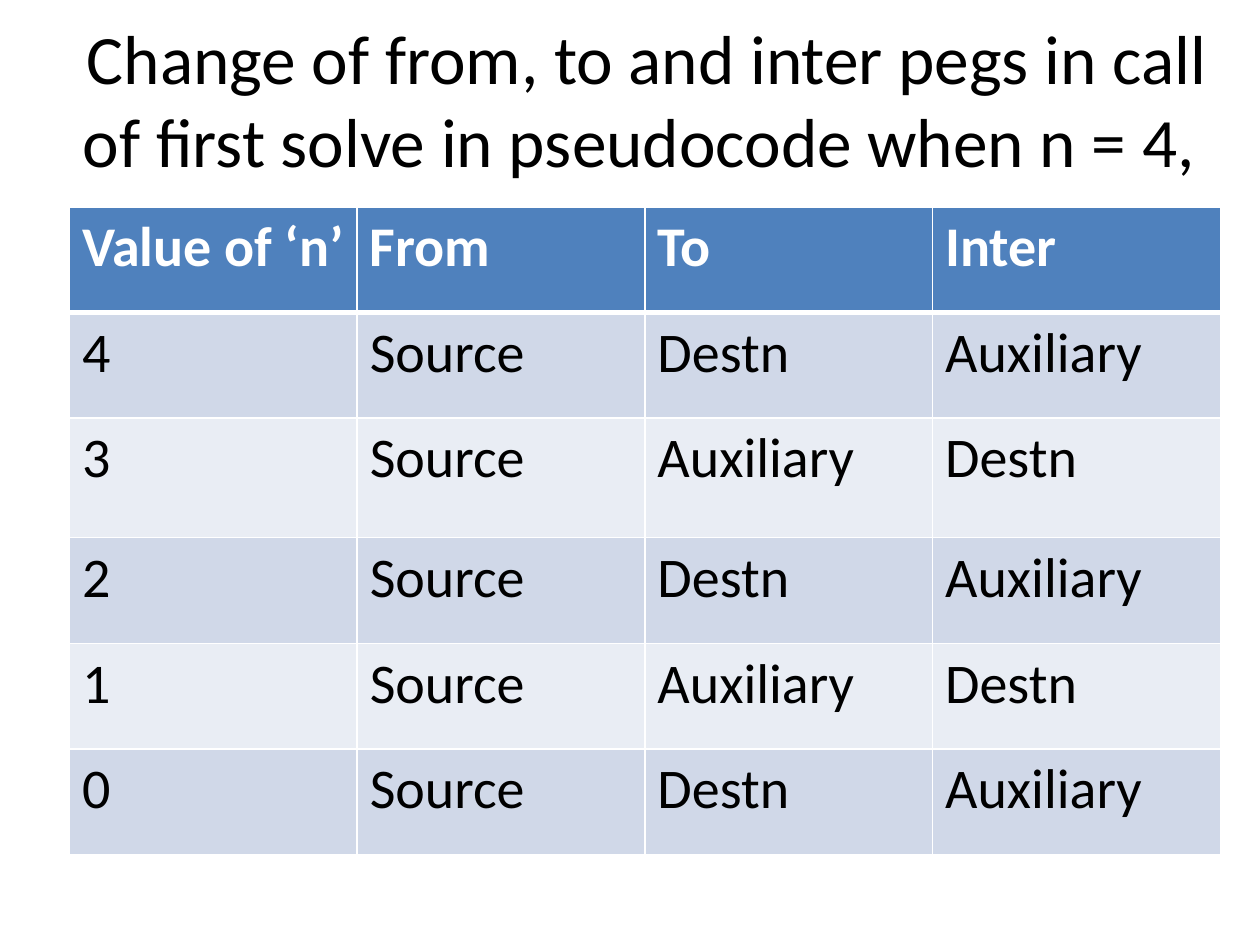
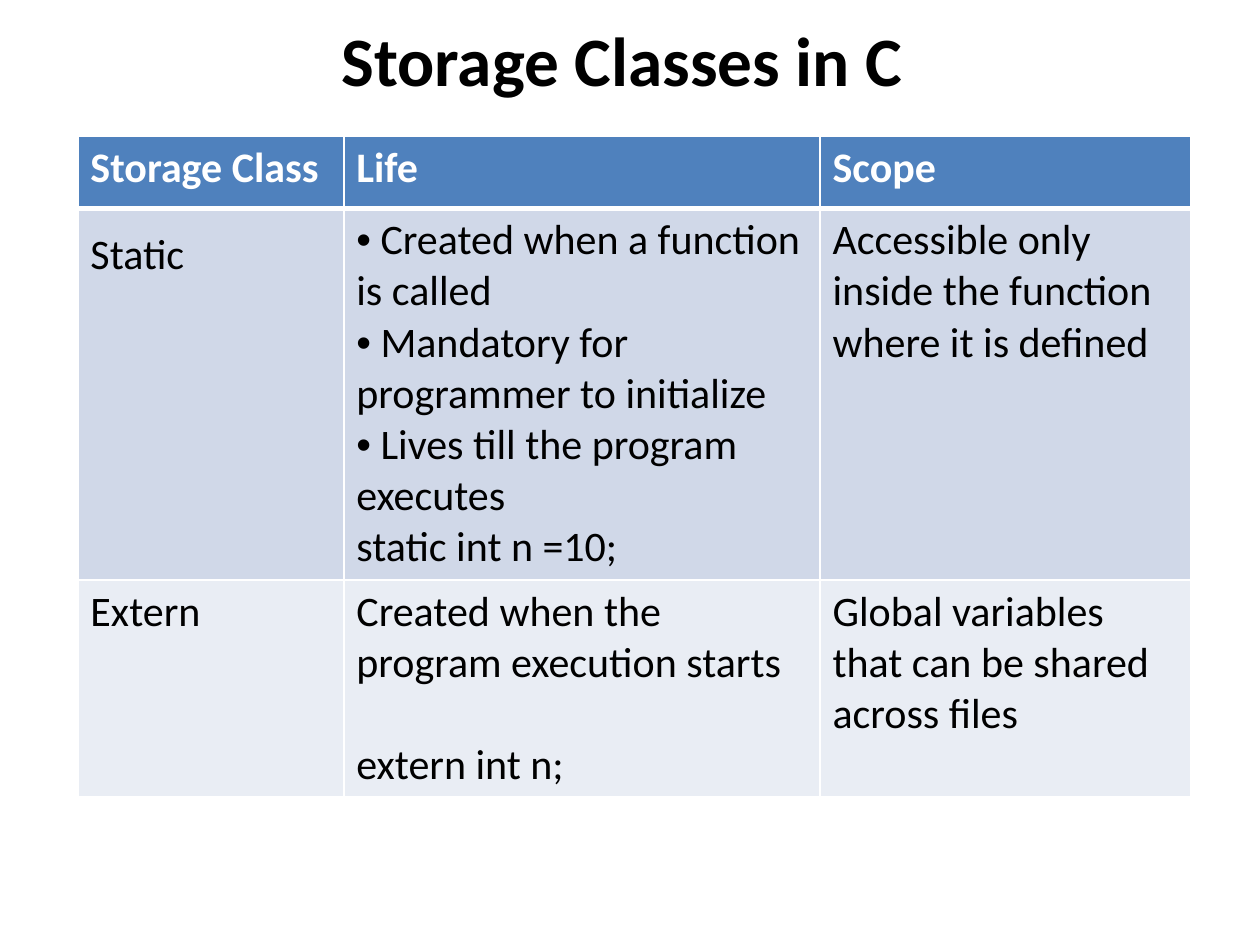
from lxml import etree
from pptx import Presentation
from pptx.dml.color import RGBColor
from pptx.enum.text import MSO_ANCHOR, PP_ALIGN
from pptx.oxml.ns import qn
from pptx.util import Cm, Pt

MIDDLE = MSO_ANCHOR.MIDDLE
CENTER = PP_ALIGN.CENTER

BLACK = RGBColor(0x00, 0x00, 0x00)
WHITE = RGBColor(0xFF, 0xFF, 0xFF)
BLUE = RGBColor(0x4F, 0x81, 0xBD)
BANDS = (RGBColor(0xE9, 0xED, 0xF4), RGBColor(0xD0, 0xD8, 0xE8))

FONT = "Calibri"
TITLE_SIZE = 39.6
BULLET = "•"
THIN, THICK = Pt(1), Pt(3)

PEGS = [
    ["Value of ‘n’", "From", "To", "Inter"],
    ["4", "Source", "Destn", "Auxiliary"],
    ["3", "Source", "Auxiliary", "Destn"],
    ["2", "Source", "Destn", "Auxiliary"],
    ["1", "Source", "Auxiliary", "Destn"],
    ["0", "Source", "Destn", "Auxiliary"],
]

STORAGE = [
    ["Storage Class", "Life", "Scope"],
    [
        "Static",
        "• Created when a function is called\n"
        "• Mandatory for programmer to initialize\n"
        "• Lives till the program executes\n"
        "static int n =10;",
        "Accessible only inside the function where it is defined",
    ],
    [
        "Extern",
        "Created when the program execution starts\nextern int n;",
        "Global variables that can be shared across files",
    ],
]


def assign(target, values):
    for name, value in values.items():
        setattr(target, name, value)


def add_run(para, text, size, color=BLACK, bold=False):
    run = para.add_run()
    run.text = text
    assign(run.font, {"name": FONT, "size": Pt(size), "bold": bold})
    run.font.color.rgb = color


def add_title(slide, box, text, bold=False):
    frame = slide.shapes.add_textbox(*map(Cm, box)).text_frame
    assign(frame, {"word_wrap": True, "vertical_anchor": MIDDLE})
    para = frame.paragraphs[0]
    para.alignment = CENTER
    add_run(para, text, TITLE_SIZE, bold=bold)


def add_bullet(para):
    props = para._p.get_or_add_pPr()
    props.set("marL", "0")
    props.set("indent", "0")
    etree.SubElement(props, qn("a:buFont"), typeface="Arial")
    etree.SubElement(props, qn("a:buChar"), char=BULLET)


def set_edges(cell, top, bottom):
    """Draw white cell borders, with the given top and bottom widths."""
    props = cell._tc.get_or_add_tcPr()
    widths = {"lnL": THIN, "lnR": THIN, "lnT": top, "lnB": bottom}
    for place, (tag, width) in enumerate(widths.items()):
        line = etree.Element(qn(f"a:{tag}"), w=str(int(width)))
        fill = etree.SubElement(line, qn("a:solidFill"))
        etree.SubElement(fill, qn("a:srgbClr"), val=str(WHITE))
        props.insert(place, line)


def fill_cell(cell, text, size, row):
    """Write one paragraph per line; a leading bullet sign makes a list item."""
    head = row == 0
    cell.fill.solid()
    cell.fill.fore_color.rgb = BLUE if head else BANDS[row % 2]
    set_edges(cell, THICK if row == 1 else THIN, THICK if head else THIN)
    for index, line in enumerate(text.split("\n")):
        frame = cell.text_frame
        para = frame.add_paragraph() if index else frame.paragraphs[0]
        if line.startswith(BULLET):
            add_bullet(para)
            line = line.removeprefix(BULLET)
        add_run(para, line, size, WHITE if head else BLACK, head)


def add_grid(slide, left, top, widths, heights, rows, size):
    frame = slide.shapes.add_table(
        len(rows), len(widths), Cm(left), Cm(top),
        Cm(sum(widths)), Cm(sum(heights)))
    table = frame.table
    for col, width in zip(table.columns, widths):
        col.width = Cm(width)
    for line, height in zip(table.rows, heights):
        line.height = Cm(height)
    for row, texts in enumerate(rows):
        for col, text in enumerate(texts):
            fill_cell(table.cell(row, col), text, size, row)
    return table


def add_pegs(slide):
    add_title(slide, (1.27, 0.2, 23.55, 3.58),
              "Change of from, to and inter pegs in call "
              "of first solve in pseudocode when n = 4, ")
    heights = [2.13] * len(PEGS)
    heights[2] = 2.41
    add_grid(slide, 1.4, 4.17, [5.8] * 4, heights, PEGS, 32)


def add_storage(slide):
    add_title(slide, (0.48, 0.2, 24.13, 1.98), "Storage Classes in C", True)
    table = add_grid(slide, 1.57, 2.74, [5.36, 9.6, 7.47],
                     [1.46, 7.49, 4.37], STORAGE, 24)
    table.cell(1, 0).text_frame.paragraphs[0].line_spacing = 1.3
    table.cell(2, 1).text_frame.paragraphs[1].space_before = Pt(29.3)


def main():
    deck = Presentation()
    assign(deck, {"slide_width": Cm(25.4), "slide_height": Cm(19.05)})
    blank = deck.slide_layouts[6]
    for build in (add_pegs, add_storage):
        build(deck.slides.add_slide(blank))
    deck.save("out.pptx")


if __name__ == "__main__":
    main()
